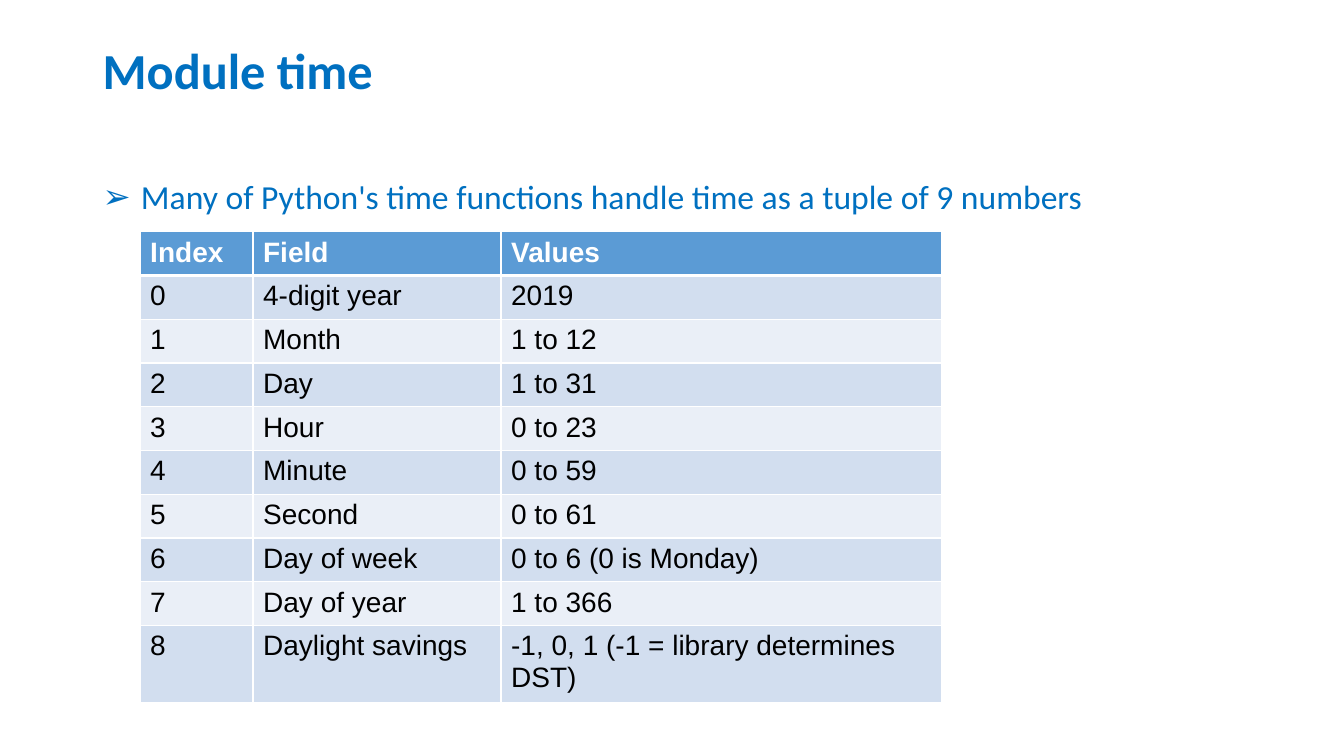
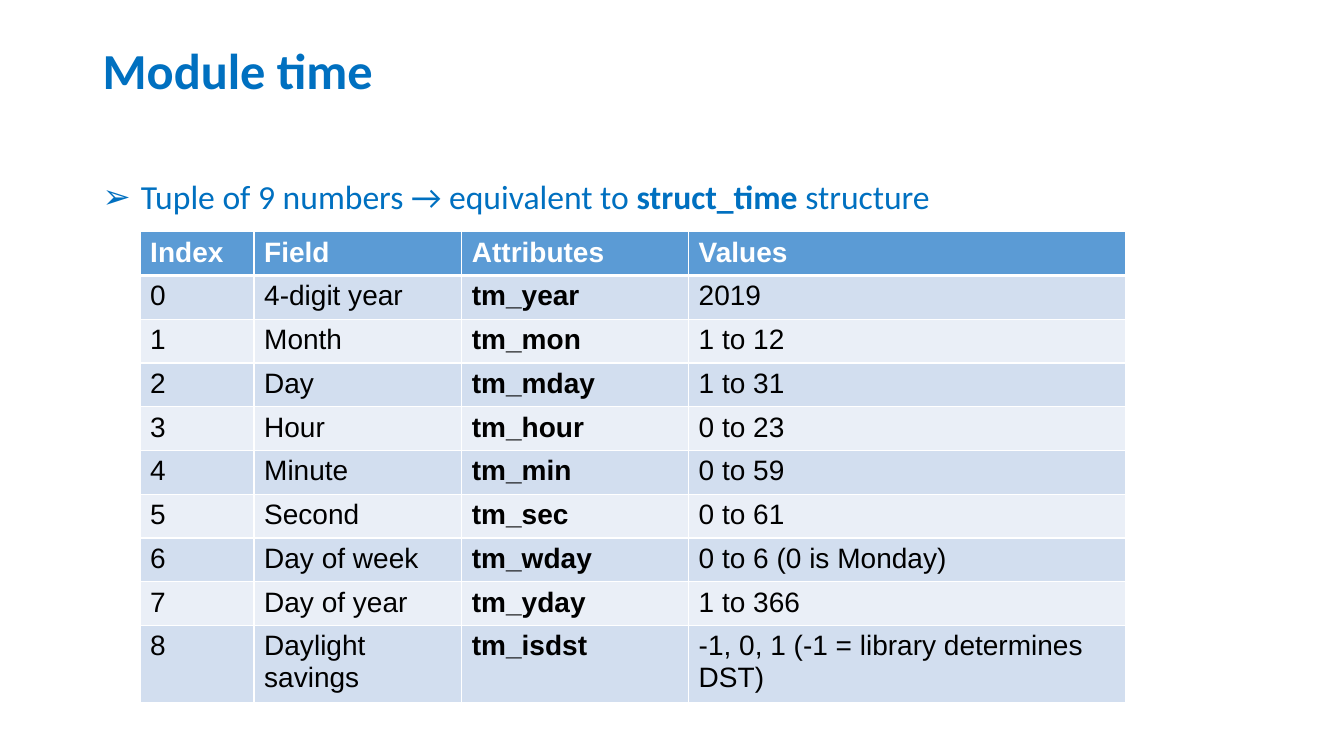
from dataclasses import dataclass
from typing import Any

from lxml import etree
from pptx import Presentation
from pptx import util as u
from pptx.dml import color
from pptx.enum import text as t
from pptx.oxml import ns


@dataclass(frozen=True)
class Theme:
    accent: str = "0070C0"
    header_fill: str = "5B9BD5"
    band_fills: tuple[str, str] = ("D2DEEF", "EAEFF7")
    white: str = "FFFFFF"
    black: str = "000000"
    text_font: str = "Calibri"
    table_font: str = "Arial"
    title_size: int = 36
    body_size: int = 24
    table_size: int = 20
    thin_rule: int = 1
    thick_rule: int = 3


@dataclass(frozen=True)
class Span:
    text: str
    bold: bool = False


@dataclass(frozen=True)
class Column:
    heading: str
    entries: tuple[str, ...]
    width: float
    bold: bool = False


@dataclass(frozen=True)
class Topic:
    statement: tuple[Span, ...]
    columns: tuple[Column, ...]


THEME = Theme()
TITLE = "Module time"
TABLE_LEFT, TABLE_TOP, ROW_HEIGHT = 1.39, 2.3, 0.41

FIELDS, ATTRIBUTES, VALUES = zip(
    ("4-digit year", "tm_year", "2019"),
    ("Month", "tm_mon", "1 to 12"),
    ("Day", "tm_mday", "1 to 31"),
    ("Hour", "tm_hour", "0 to 23"),
    ("Minute", "tm_min", "0 to 59"),
    ("Second", "tm_sec", "0 to 61"),
    ("Day of week", "tm_wday", "0 to 6 (0 is Monday)"),
    ("Day of year", "tm_yday", "1 to 366"),
    ("Daylight savings", "tm_isdst", "-1, 0, 1 (-1 = library determines DST)"),
)
INDEXES = tuple(str(index) for index in range(len(FIELDS)))

TOPICS = (
    Topic(
        (Span("Many of Python's time functions handle time as a tuple of 9 numbers"),),
        (
            Column("Index", INDEXES, 1.12),
            Column("Field", FIELDS, 2.46),
            Column("Values", VALUES, 4.37),
        ),
    ),
    Topic(
        (
            Span("Tuple of 9 numbers → equivalent to "),
            Span("struct_time ", bold=True),
            Span("structure"),
        ),
        (
            Column("Index", INDEXES, 1.13),
            Column("Field", FIELDS, 2.06),
            Column("Attributes", ATTRIBUTES, 2.25, bold=True),
            Column("Values", VALUES, 4.33),
        ),
    ),
)


def apply_format(target: Any, values: dict[str, Any]) -> None:
    for name, value in values.items():
        setattr(target, name, value)


def add_span(paragraph: Any, span: Span, font: str, size: int, ink: str) -> None:
    run = paragraph.add_run()
    run.text = span.text
    apply_format(run.font, {"name": font, "size": u.Pt(size), "bold": span.bold})
    run.font.color.rgb = color.RGBColor.from_string(ink)


def add_text(slide: Any, box: tuple[float, ...], spans: tuple[Span, ...], size: int,
             anchor: t.MSO_ANCHOR, line_spacing: float) -> Any:
    frame = slide.shapes.add_textbox(*map(u.Inches, box)).text_frame
    apply_format(frame, {"word_wrap": True, "vertical_anchor": anchor})
    paragraph = frame.paragraphs[0]
    paragraph.line_spacing = line_spacing
    for span in spans:
        add_span(paragraph, span, THEME.text_font, size, THEME.accent)
    return paragraph


def add_bullet(paragraph: Any) -> None:
    properties = paragraph._p.get_or_add_pPr()
    properties.set("marL", str(u.Inches(0.38)))
    properties.set("indent", str(u.Inches(-0.38)))
    etree.SubElement(properties, ns.qn("a:buFont"), typeface=THEME.table_font)
    etree.SubElement(properties, ns.qn("a:buChar"), char="➢")


def add_borders(cell: Any, top: int, bottom: int) -> None:
    properties = cell._tc.get_or_add_tcPr()
    sides = {"lnL": THEME.thin_rule, "lnR": THEME.thin_rule, "lnT": top, "lnB": bottom}
    for place, (side, width) in enumerate(sides.items()):
        line = etree.Element(ns.qn(f"a:{side}"), w=str(u.Pt(width)))
        fill = etree.SubElement(line, ns.qn("a:solidFill"))
        etree.SubElement(fill, ns.qn("a:srgbClr"), val=THEME.white)
        properties.insert(place, line)


def fill_cell(cell: Any, span: Span, row: int) -> None:
    header = row == 0
    cell.fill.solid()
    cell.fill.fore_color.rgb = color.RGBColor.from_string(
        THEME.header_fill if header else THEME.band_fills[(row - 1) % 2])
    add_span(cell.text_frame.paragraphs[0], span, THEME.table_font, THEME.table_size,
             THEME.white if header else THEME.black)
    add_borders(cell,
                top=THEME.thick_rule if row == 1 else THEME.thin_rule,
                bottom=THEME.thick_rule if header else THEME.thin_rule)


def add_field_table(slide: Any, columns: tuple[Column, ...]) -> None:
    row_count = len(FIELDS) + 1
    box = (TABLE_LEFT, TABLE_TOP, sum(c.width for c in columns), row_count * ROW_HEIGHT)
    table = slide.shapes.add_table(row_count, len(columns), *map(u.Inches, box)).table
    for row in table.rows:
        row.height = u.Inches(ROW_HEIGHT)
    for position, column in enumerate(columns):
        table.columns[position].width = u.Inches(column.width)
        fill_cell(table.cell(0, position), Span(column.heading, bold=True), 0)
        for row, entry in enumerate(column.entries, start=1):
            fill_cell(table.cell(row, position), Span(entry, column.bold), row)


def add_topic(deck: Any, topic: Topic) -> None:
    slide = deck.slides.add_slide(deck.slide_layouts[6])
    add_text(slide, (0.92, 0, 11.5, 1.45), (Span(TITLE, bold=True),),
             THEME.title_size, t.MSO_ANCHOR.MIDDLE, 0.9)
    statement = add_text(slide, (0.92, 1.5, 11.66, 4.76), topic.statement,
                         THEME.body_size, t.MSO_ANCHOR.TOP, 1.5)
    add_bullet(statement)
    add_field_table(slide, topic.columns)


def main() -> None:
    deck = Presentation()
    apply_format(deck, {"slide_width": u.Inches(13.33), "slide_height": u.Inches(7.5)})
    for topic in TOPICS:
        add_topic(deck, topic)
    deck.save("out.pptx")


if __name__ == "__main__":
    main()
